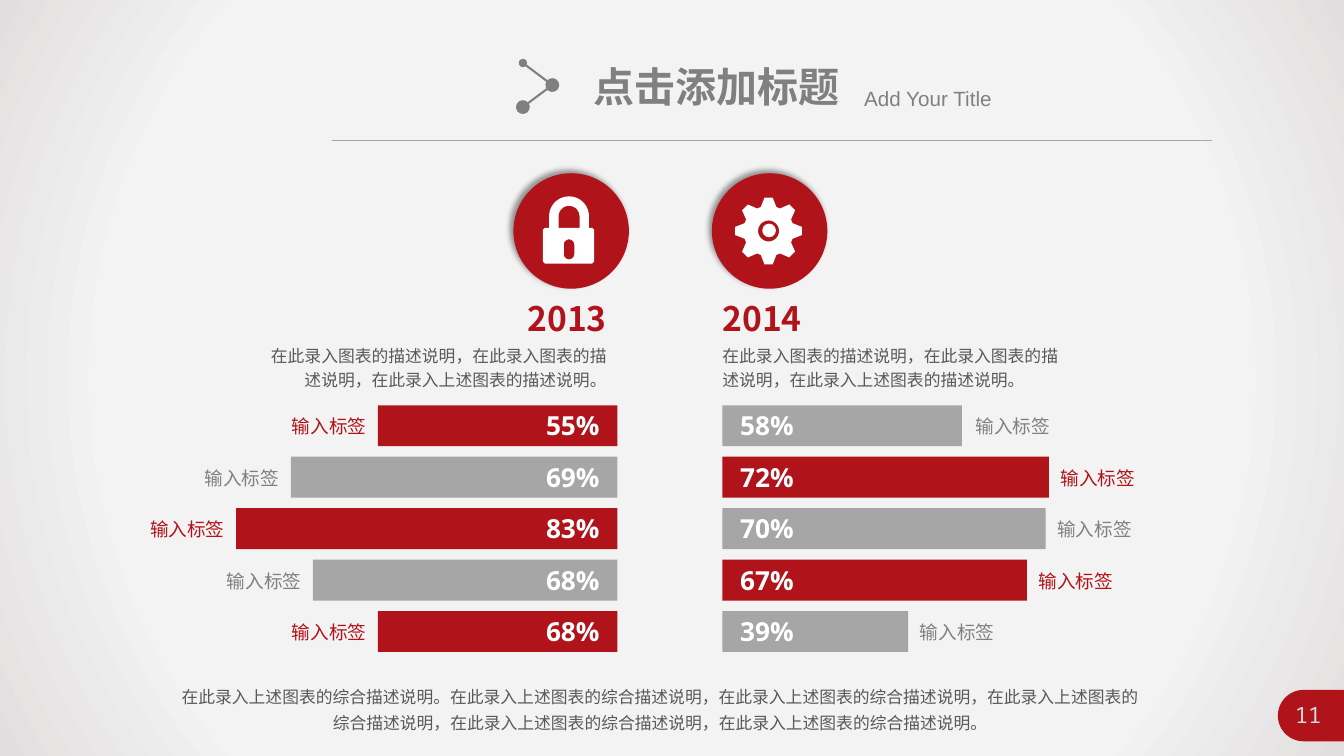
from dataclasses import dataclass
from math import cos, radians, sin

from lxml import etree
from pptx import Presentation
from pptx.dml.color import RGBColor
from pptx.enum.shapes import MSO_CONNECTOR, MSO_SHAPE
from pptx.enum.text import MSO_ANCHOR, PP_ALIGN
from pptx.oxml import parse_xml
from pptx.oxml.ns import nsdecls, qn
from pptx.util import Emu, Pt

PX = 9525  # EMU per px
LEFT, CENTER, RIGHT = PP_ALIGN.LEFT, PP_ALIGN.CENTER, PP_ALIGN.RIGHT
TOP, MIDDLE = MSO_ANCHOR.TOP, MSO_ANCHOR.MIDDLE
RECT, OVAL, TAB = MSO_SHAPE.RECTANGLE, MSO_SHAPE.OVAL, MSO_SHAPE.ROUND_2_SAME_RECTANGLE
STRAIGHT = MSO_CONNECTOR.STRAIGHT
CJK, ARIAL, OPEN, MONO = "Noto Sans CJK SC", "Arial", "Open Sans", "Noto Sans Mono"
COLORS = {
    "red": "B01319", "bar_gray": "A6A6A6", "gray": "808080", "text": "595959",
    "white": "FFFFFF", "number": "D9D9D9",
}
BAR_TOP, BAR_PITCH, BAR_HEIGHT = 386, 49, 39
LABEL_WIDTH, LABEL_HEIGHT = 160, 28
VALUE_WIDTH, VALUE_HEIGHT = 93, 36
Point = tuple[float, float]


@dataclass(frozen=True)
class Style:
    size: float
    font: str
    color: str
    bold: bool = False
    align: PP_ALIGN = LEFT
    anchor: MSO_ANCHOR = TOP
    spacing: float = 1.0
    wrap: bool = True
    inset_x: int = 10
    inset_y: int = 5


@dataclass(frozen=True)
class Bar:
    value: str
    width: int
    label_gap: int = 4


@dataclass(frozen=True)
class Year:
    name: str
    axis: int  # inner edge of the bars
    grows_left: bool
    badge_left: int
    first_red: bool
    bars: tuple[Bar, ...]


YEARS = (
    Year("2013", 588, True, 489, True,
         (Bar("55%", 228), Bar("69%", 311), Bar("83%", 363), Bar("68%", 290), Bar("68%", 228))),
    Year("2014", 688, False, 678, False,
         (Bar("58%", 228, 6), Bar("72%", 311), Bar("70%", 308), Bar("67%", 290), Bar("39%", 177))),
)


def rgb(color: str) -> RGBColor:
    return RGBColor.from_string(COLORS[color])


def write(box, text: str, style: Style) -> None:
    frame = box.text_frame
    frame.word_wrap = style.wrap
    frame.vertical_anchor = style.anchor
    frame.margin_left = frame.margin_right = Emu(style.inset_x * PX)
    frame.margin_top = frame.margin_bottom = Emu(style.inset_y * PX)
    paragraph = frame.paragraphs[0]
    paragraph.alignment = style.align
    paragraph.line_spacing = style.spacing
    run = paragraph.add_run()
    run.text = text
    run.font.size = Pt(style.size)
    run.font.bold = style.bold
    run.font.color.rgb = rgb(style.color)
    run.font.name = style.font
    east_asian = etree.SubElement(run.font._element, qn("a:ea"))
    east_asian.set("typeface", CJK)


def add_text(x: int, y: int, w: int, h: int, text: str, style: Style) -> None:
    write(slide.shapes.add_textbox(x * PX, y * PX, w * PX, h * PX), text, style)


def paint(shape, color: str):
    shape.shadow.inherit = False
    shape.fill.solid()
    shape.fill.fore_color.rgb = rgb(color)
    shape.line.fill.background()
    return shape


def add_block(kind: MSO_SHAPE, x: int, y: int, w: int, h: int, color: str):
    return paint(slide.shapes.add_shape(kind, x * PX, y * PX, w * PX, h * PX), color)


def add_line(start: Point, end: Point, color: str, width: float, ovals: tuple[str, ...] = ()) -> None:
    line = slide.shapes.add_connector(STRAIGHT, *(v * PX for v in start + end))
    line.line.color.rgb = rgb(color)
    line.line.width = Pt(width)
    properties = line.element.spPr
    for tag, size in zip(("a:headEnd", "a:tailEnd"), ovals):
        tip = etree.SubElement(properties.find(qn("a:ln")), qn(tag))
        for key, setting in (("type", "oval"), ("w", size), ("len", size)):
            tip.set(key, setting)
    etree.SubElement(properties, qn("a:effectLst"))


def arc(cx: int, cy: int, r: int, start: int, end: int, step: int = 10) -> list[Point]:
    return [(cx + r * cos(radians(a)), cy + r * sin(radians(a))) for a in range(start, end + 1, step)]


def add_icon(*contours: list[Point]) -> None:
    outlines = [[(round(x * PX), round(y * PX)) for x, y in points] for points in contours]
    builder = slide.shapes.build_freeform(*outlines[0][0])
    builder.add_line_segments(outlines[0][1:])
    for points in outlines[1:]:
        builder.move_to(*points[0])
        builder.add_line_segments(points[1:])
    paint(builder.convert_to_shape(), "white")


def add_badge(x: int) -> None:
    badge = add_block(OVAL, x, 165, 110, 110, "red")
    effects = badge.element.spPr.find(qn("a:effectLst"))
    effects.append(parse_xml(
        f'<a:outerShdw {nsdecls("a")} blurRad="50800" dist="38100" dir="13500000" algn="br" rotWithShape="0">'
        '<a:srgbClr val="000000"><a:alpha val="40000"/></a:srgbClr></a:outerShdw>'))


def add_year(year: Year) -> None:
    align = RIGHT if year.grows_left else LEFT

    def place(offset: int, width: int) -> int:
        """Left edge of a box that starts at an offset outward from the axis."""
        return year.axis - offset - width if year.grows_left else year.axis + offset

    add_badge(year.badge_left)
    add_text(place(-10, 99) if not year.grows_left else place(0, 99), 279, 99, 48, year.name,
             Style(24, CJK, "red", True, align, wrap=False))
    add_text(place(-10, 347) if not year.grows_left else place(0, 347), 320, 347, 57,
             "在此录入图表的描述说明，在此录入图表的描述说明，在此录入上述图表的描述说明。",
             Style(12, CJK, "text", align=align, spacing=1.2))
    for row, bar in enumerate(year.bars):
        top = BAR_TOP + row * BAR_PITCH
        red = (row % 2 == 0) == year.first_red
        add_block(RECT, place(0, bar.width), top, bar.width, BAR_HEIGHT, "red" if red else "bar_gray")
        add_text(place(10, VALUE_WIDTH), top + 1, VALUE_WIDTH, VALUE_HEIGHT, bar.value,
                 Style(18.7, OPEN, "white", True, align, MIDDLE, inset_x=7, inset_y=3))
        add_text(place(bar.width + bar.label_gap, LABEL_WIDTH), top + 6, LABEL_WIDTH, LABEL_HEIGHT, "输入标签",
                 Style(13.3, CJK, "red" if red else "gray", False, align, MIDDLE, inset_x=7, inset_y=3))


prs = Presentation()
prs.slide_width, prs.slide_height = Emu(1280 * PX), Emu(720 * PX)
slide = prs.slides.add_slide(prs.slide_layouts[5])

# Background: radial gradient
stops = "".join(f'<a:gs pos="{pos}000"><a:srgbClr val="{color}"/></a:gs>'
                for pos, color in ((0, "F5F5F5"), (73, "F3F3F3"), (100, "E2DEDF")))
slide.element.cSld.insert(0, parse_xml(
    f'<p:bg {nsdecls("p", "a")}><p:bgPr><a:gradFill rotWithShape="1"><a:gsLst>{stops}</a:gsLst>'
    '<a:path path="circle"><a:fillToRect l="50000" t="50000" r="50000" b="50000"/></a:path>'
    '</a:gradFill><a:effectLst/></p:bgPr></p:bg>'))

# Header
heading = slide.shapes.title
heading.left, heading.top, heading.width, heading.height = (Emu(v * PX) for v in (555, 54, 256, 57))
write(heading, "点击添加标题", Style(29.3, ARIAL, "gray", True, wrap=False))
add_text(813, 77, 242, 34, "Add Your Title", Style(14.7, ARIAL, "gray"))
add_line((316, 134), (1154, 134), "bar_gray", 0.5)
add_line((498, 60), (526, 81), "gray", 1.5, ("med", "lg"))
add_line((526, 81), (498, 102), "gray", 1.5, ("med", "lg"))

# Bars of both years
for year in YEARS:
    add_year(year)

# Padlock: body with shackle, shackle opening, keyhole
add_icon(
    [(519, 217), (523, 217), *arc(542, 206, 19, 180, 360), (561, 217), (564, 217), (566, 219),
     (566, 249), (564, 251), (519, 251), (517, 249), (517, 219)],
    [(532, 217), *arc(542, 206, 10, 180, 360), (552, 217)],
    arc(542, 233, 5, 180, 360) + arc(542, 242, 5, 0, 180),
)

# Gear: eight teeth around a ring and a hub
teeth = [point for turn in range(0, 360, 45)
         for r, shift in ((24, -18), (32, -7), (32, 7), (24, 18))
         for point in arc(732, 220, r, turn + shift, turn + shift)]
add_icon(teeth, arc(732, 220, 10, 0, 350))
add_block(OVAL, 726, 213, 13, 13, "white")

# Summary and page number
add_text(160, 643, 938, 60,
         "在此录入上述图表的综合描述说明。在此录入上述图表的综合描述说明，在此录入上述图表的综合描述说明，"
         "在此录入上述图表的综合描述说明，在此录入上述图表的综合描述说明，在此录入上述图表的综合描述说明。",
         Style(12, CJK, "text", align=CENTER, spacing=1.3))
page_tab = add_block(TAB, 1224, 650, 49, 63, "red")
page_tab.adjustments[0] = 0.5
page_tab.rotation = 270
add_text(1215, 663, 62, 36, "11", Style(16, MONO, "number", align=CENTER))

prs.save("out.pptx")
